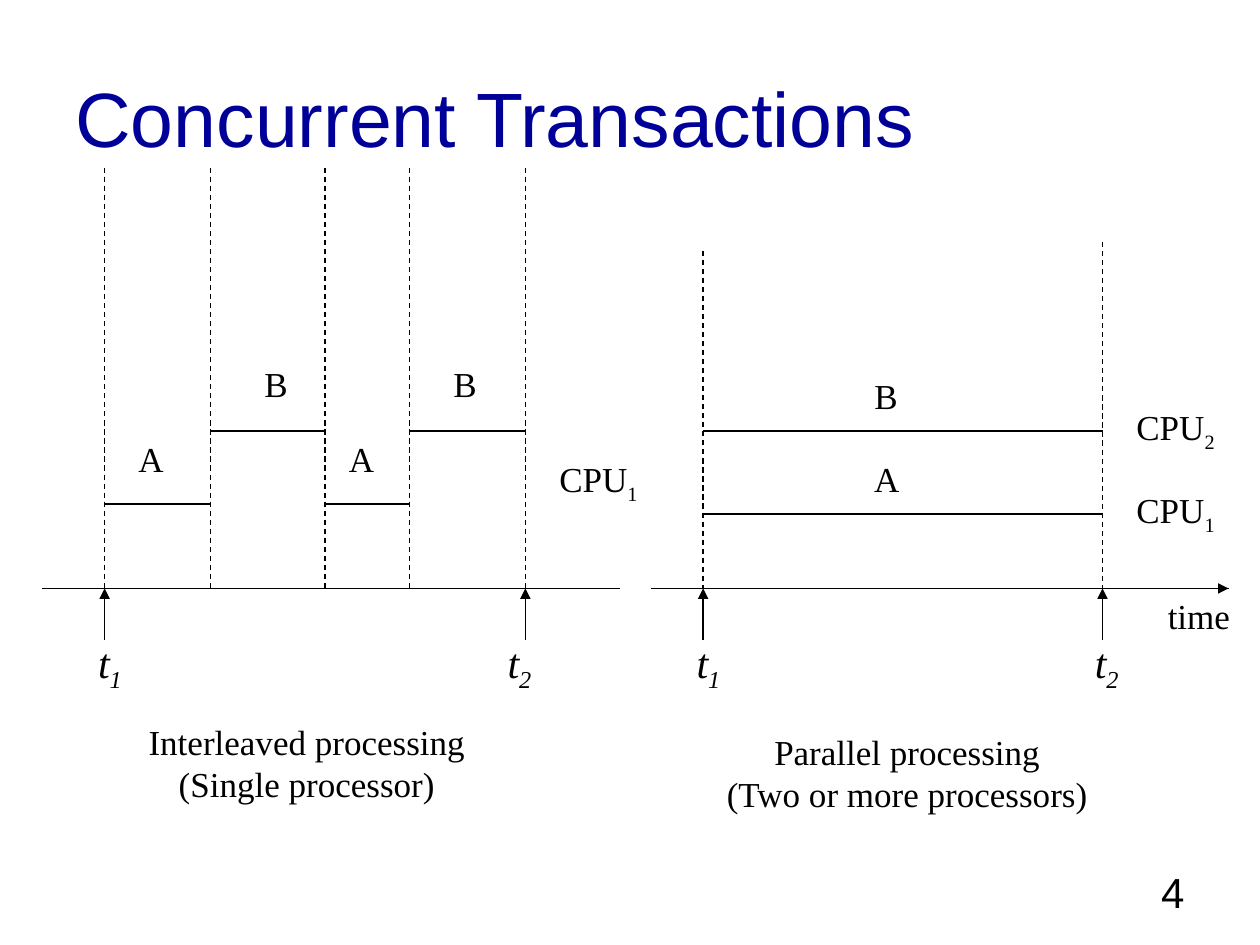
import dataclasses

import lxml.etree
import pptx
import pptx.dml.color
import pptx.enum.dml
import pptx.enum.shapes
import pptx.enum.text
import pptx.oxml.ns
import pptx.util

Inches = pptx.util.Inches
Align = pptx.enum.text.PP_ALIGN
Anchor = pptx.enum.text.MSO_ANCHOR
AutoSize = pptx.enum.text.MSO_AUTO_SIZE


@dataclasses.dataclass(frozen=True)
class Theme:
    """Colours, fonts, type sizes and line widths of the deck."""
    ink: str = "000000"
    heading: str = "000099"
    sans: str = "Arial"
    serif: str = "Times New Roman"
    title_size: int = 44
    mark_size: int = 24
    label_size: int = 20
    thin: float = 0.75
    thick: float = 1.5


class TimelineSlide:
    """Draws timeline elements on the current slide in one theme."""

    def __init__(self, deck, theme):
        self.theme = theme
        self.page = deck.slides.add_slide(deck.slide_layouts[6])

    def line(self, start, end, width=None, dashed=False, arrow=False):
        """Add a straight line, optionally dashed or with an arrowhead at its end."""
        connector = self.page.shapes.add_connector(
            pptx.enum.shapes.MSO_CONNECTOR.STRAIGHT,
            *(Inches(value) for value in (*start, *end)))
        connector.line.width = pptx.util.Pt(width or self.theme.thin)
        connector.line.color.rgb = pptx.dml.color.RGBColor.from_string(self.theme.ink)
        if dashed:
            connector.line.dash_style = pptx.enum.dml.MSO_LINE.DASH
        qualified = pptx.oxml.ns.qn
        if arrow:
            outline = connector.line._get_or_add_ln()
            lxml.etree.SubElement(outline, qualified("a:tailEnd"), type="triangle")
        lxml.etree.SubElement(connector._element.spPr, qualified("a:effectLst"))

    def text(self, area, lines, subscript="", align=Align.LEFT, anchor=Anchor.TOP,
             wrap=False, **changes):
        """Add a text box with one paragraph per line and an optional subscript."""
        box = self.page.shapes.add_textbox(*(Inches(value) for value in area))
        frame = box.text_frame
        frame.word_wrap = wrap
        frame.auto_size = AutoSize.NONE if wrap else AutoSize.SHAPE_TO_FIT_TEXT
        frame.vertical_anchor = anchor
        look = {"name": self.theme.serif, "size": self.theme.label_size,
                "color": self.theme.ink, **changes}
        color = pptx.dml.color.RGBColor.from_string(look.pop("color"))
        look["size"] = pptx.util.Pt(look["size"])
        for index, words in enumerate(lines.split("\n")):
            para = frame.add_paragraph() if index else frame.paragraphs[0]
            para.alignment = align
            for piece in filter(None, (words, subscript)):
                span = para.add_run()
                span.text = piece
                for name, value in look.items():
                    setattr(span.font, name, value)
                span.font.color.rgb = color
        if subscript:
            span._r.get_or_add_rPr().set("baseline", "-25000")

    def title(self, words):
        """Add the slide title."""
        self.text((0.5, 0.3, 9, 1.25), words, anchor=Anchor.MIDDLE, wrap=True,
                  name=self.theme.sans, size=self.theme.title_size,
                  color=self.theme.heading)

    def page_number(self, number):
        """Add the page number at the lower right."""
        self.text((7.17, 6.83, 2.33, 0.52), number, align=Align.RIGHT, wrap=True,
                  name=self.theme.sans, size=self.theme.mark_size)

    def axis(self, left, right, axis_y):
        """Add a time axis."""
        self.line((left, axis_y), (right, axis_y))

    def guide(self, x, top, axis_y):
        """Add a dashed guide down to the axis."""
        self.line((x, top), (x, axis_y), dashed=True)

    def moment(self, x, label_left, number, axis_y):
        """Mark a moment under the axis with an arrow and its name."""
        self.line((x, axis_y + 0.41), (x, axis_y), arrow=True)
        self.text((label_left, 5, 0.39, 0.56), "t", number,
                  size=self.theme.mark_size, italic=True)

    def activity(self, name, start, end, y, label_left, label_top):
        """Add the bar of a running transaction and its name."""
        self.line((start, y), (end, y), self.theme.thick)
        self.text((label_left, label_top, 0.4 if name == "A" else 0.38, 0.44), name)

    def processor(self, left, top, number):
        """Add a processor name."""
        self.text((left, top, 0.82, 0.48), "CPU", number)

    def caption(self, area, lines):
        """Add a centred caption."""
        self.text(area, lines, align=Align.CENTER)


def main():
    """Build the slide on concurrent transactions."""
    deck = pptx.Presentation()
    deck.slide_width, deck.slide_height = Inches(10), Inches(7.5)
    slide = TimelineSlide(deck, Theme())
    axis_y = 4.67
    switches = (0.83, 1.67, 2.58, 3.25, 4.17)
    begin, finish = 5.58, 8.75

    slide.title("Concurrent Transactions")
    slide.page_number("4")
    for left, right in ((0.33, 4.92), (5.17, 9.75)):
        slide.axis(left, right, axis_y)
    slide.line((9, axis_y), (9.75, axis_y), arrow=True)
    slide.text((9.17, axis_y, 0.7, 0.44), "time")

    for x in switches:
        slide.guide(x, 1.33, axis_y)
    for x, top in ((begin, 1.99), (finish, 1.92)):
        slide.guide(x, top, axis_y)
    for x, label_left, number in ((switches[0], 0.68, "1"), (switches[-1], 3.93, "2"),
                                  (begin, 5.43, "1"), (finish, 8.59, "2")):
        slide.moment(x, label_left, number, axis_y)

    levels = {"A": (4, 3.42), "B": (3.42, 2.83)}
    for name, start, end, label_left in zip("ABAB", switches, switches[1:],
                                            (1, 2, 2.67, 3.5)):
        y, label_top = levels[name]
        slide.activity(name, start, end, y, label_left, label_top)
    for name, y, label_top in (("A", 4.08, 3.58), ("B", 3.42, 2.92)):
        slide.activity(name, begin, finish, y, 6.84, label_top)

    for left, top, number in ((4.34, 3.58, "1"), (8.92, 3.83, "1"), (8.92, 3.17, "2")):
        slide.processor(left, top, number)
    slide.caption((1.08, 5.67, 2.71, 0.77), "Interleaved processing\n(Single processor)")
    slide.caption((5.66, 5.75, 3.08, 0.77), "Parallel processing\n(Two or more processors)")
    deck.save("out.pptx")


if __name__ == "__main__":
    main()
